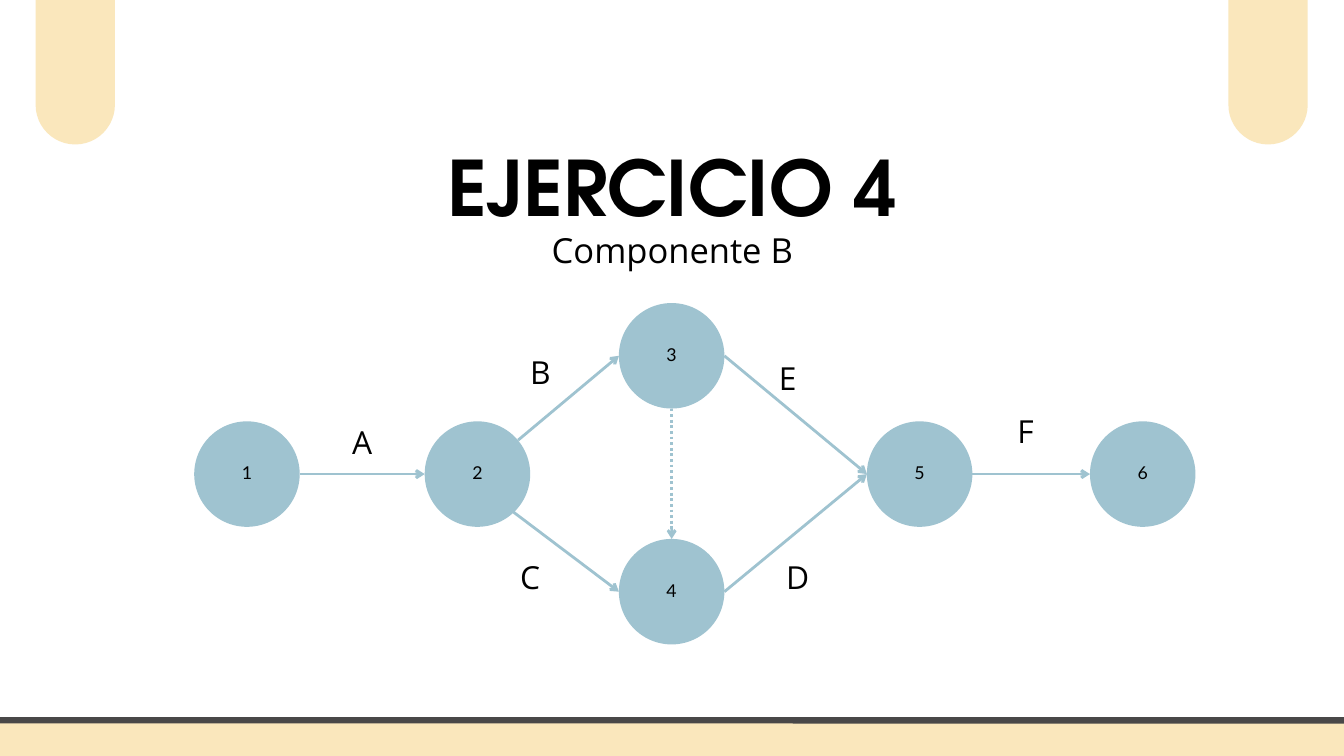
from lxml.etree import SubElement
from pptx import Presentation
from pptx.dml.color import RGBColor
from pptx.enum.dml import MSO_LINE
from pptx.enum.shapes import MSO_CONNECTOR, MSO_SHAPE as SHAPE
from pptx.enum.text import MSO_ANCHOR as ANCHOR, MSO_AUTO_SIZE, PP_ALIGN
from pptx.oxml.ns import qn
from pptx.util import Inches, Pt

COLUMNS, ROWS = 20, 11.25
CREAM, SLATE, BLUE, BLACK = "FAE7BC", "494848", "9FC3D0", "000000"
DIAMETER = 1.57
MIDDLE = DIAMETER / 2
LABEL_WIDTH, LABEL_HEIGHT = 0.34, 0.63

EVENTS = {
    "1": (0, 1.76),
    "2": (3.43, 1.76),
    "3": (6.32, 0),
    "4": (6.32, 3.51),
    "5": (10.01, 1.76),
    "6": (13.33, 1.76),
}
LEFT, RIGHT = (0, MIDDLE), (DIAMETER, MIDDLE)
TOP, BOTTOM = (MIDDLE, 0), (MIDDLE, DIAMETER)
ACTIVITIES = [
    ("1", RIGHT, "2", LEFT, None),
    ("2", (1.39, 0.28), "3", LEFT, None),
    ("2", (1.32, 1.35), "4", LEFT, None),
    ("3", BOTTOM, "4", TOP, MSO_LINE.ROUND_DOT),
    ("3", RIGHT, "5", LEFT, None),
    ("4", RIGHT, "5", LEFT, None),
    ("5", RIGHT, "6", LEFT, None),
]
ACTIVITY_LABELS = {
    "A": (2.5, 1.68),
    "B": (5.15, 0.64),
    "C": (5, 3.69),
    "D": (8.98, 3.69),
    "E": (8.83, 0.73),
    "F": (12.37, 1.52),
}


def grid(*lengths):
    return [Inches(length) for length in lengths]


def paint(color_format, color):
    color_format.rgb = RGBColor.from_string(color)


def write(shape, text, font, size, spacing, bold=False, anchor=ANCHOR.TOP, bottom=0):
    frame = shape.text_frame
    frame.text = text
    frame.word_wrap = True
    frame.auto_size = MSO_AUTO_SIZE.NONE
    frame.vertical_anchor = anchor
    frame.margin_left = frame.margin_right = frame.margin_top = 0
    frame.margin_bottom = Inches(bottom)
    paragraph = frame.paragraphs[0]
    paragraph.alignment = PP_ALIGN.CENTER
    paragraph.line_spacing = Pt(spacing)
    paragraph.space_before = Pt(0)
    paragraph.font.name = font
    paragraph.font.size = Pt(size)
    paragraph.font.bold = bold
    paint(paragraph.font.color, BLACK)


def add_filled(slide, kind, box, color):
    shape = slide.shapes.add_shape(kind, *grid(*box))
    shape.shadow.inherit = False
    shape.fill.solid()
    paint(shape.fill.fore_color, color)
    shape.line.fill.background()
    return shape


def add_tab(slide, box):
    tab = add_filled(slide, SHAPE.ROUNDED_RECTANGLE, box, CREAM)
    tab.adjustments[0] = 0.5


def add_footer(slide, box):
    footer = add_filled(slide, SHAPE.ROUNDED_RECTANGLE, box, CREAM)
    footer.adjustments[0] = 0.1
    paint(footer.line.color, SLATE)
    footer.line.width = Pt(6.75)


def add_heading(slide, box):
    left, top, width, height = box
    title, subtitle = slide.placeholders
    title.left, title.top, title.width, title.height = grid(left, top, width, 1.52)
    subtitle.left, subtitle.top, subtitle.width, subtitle.height = grid(
        left, top + height - 0.69, width, 0.69)
    write(title, "EJERCICIO 4", "TeX Gyre Adventor", 81.9, 114.7, bold=True)
    write(subtitle, "Componente B", "Open Sans", 37, 51.8)


def add_activity(slide, start, end, dash):
    arrow = slide.shapes.add_connector(MSO_CONNECTOR.STRAIGHT, *grid(*start, *end))
    paint(arrow.line.color, BLUE)
    arrow.line.width = Pt(3)
    if dash:
        arrow.line.dash_style = dash
    properties = arrow._element.spPr
    SubElement(properties.find(qn("a:ln")), qn("a:tailEnd"), type="arrow")
    SubElement(properties, qn("a:effectLst"))


def add_network(slide, left, top):
    def place(event, offset):
        column, row = EVENTS[event]
        return left + column + offset[0], top + row + offset[1]

    for event in EVENTS:
        circle = add_filled(
            slide, SHAPE.OVAL, (*place(event, (0, 0)), DIAMETER, DIAMETER), BLUE)
        write(circle, event, "Lato", 19, 26.6, anchor=ANCHOR.MIDDLE, bottom=0.1)

    for origin, exit_point, target, entry_point, dash in ACTIVITIES:
        add_activity(slide, place(origin, exit_point), place(target, entry_point), dash)

    for activity, (center, row) in ACTIVITY_LABELS.items():
        label = slide.shapes.add_textbox(*grid(
            left + center - LABEL_WIDTH / 2, top + row, LABEL_WIDTH, LABEL_HEIGHT))
        write(label, activity, "Open Sans", 34, 47.6)


def main():
    deck = Presentation()
    deck.slide_width, deck.slide_height = grid(COLUMNS, ROWS)
    slide = deck.slides.add_slide(deck.slide_layouts[0])
    for tab_left in (0.53, 18.28):
        add_tab(slide, (tab_left, -1.08, 1.18, 3.23))
    add_footer(slide, (-0.58, 10.72, COLUMNS + 1.16, 0.9))
    add_heading(slide, (1.84, 1.85, 16.33, 2.14))
    add_network(slide, 2.89, 4.51)
    deck.save("out.pptx")


if __name__ == "__main__":
    main()
